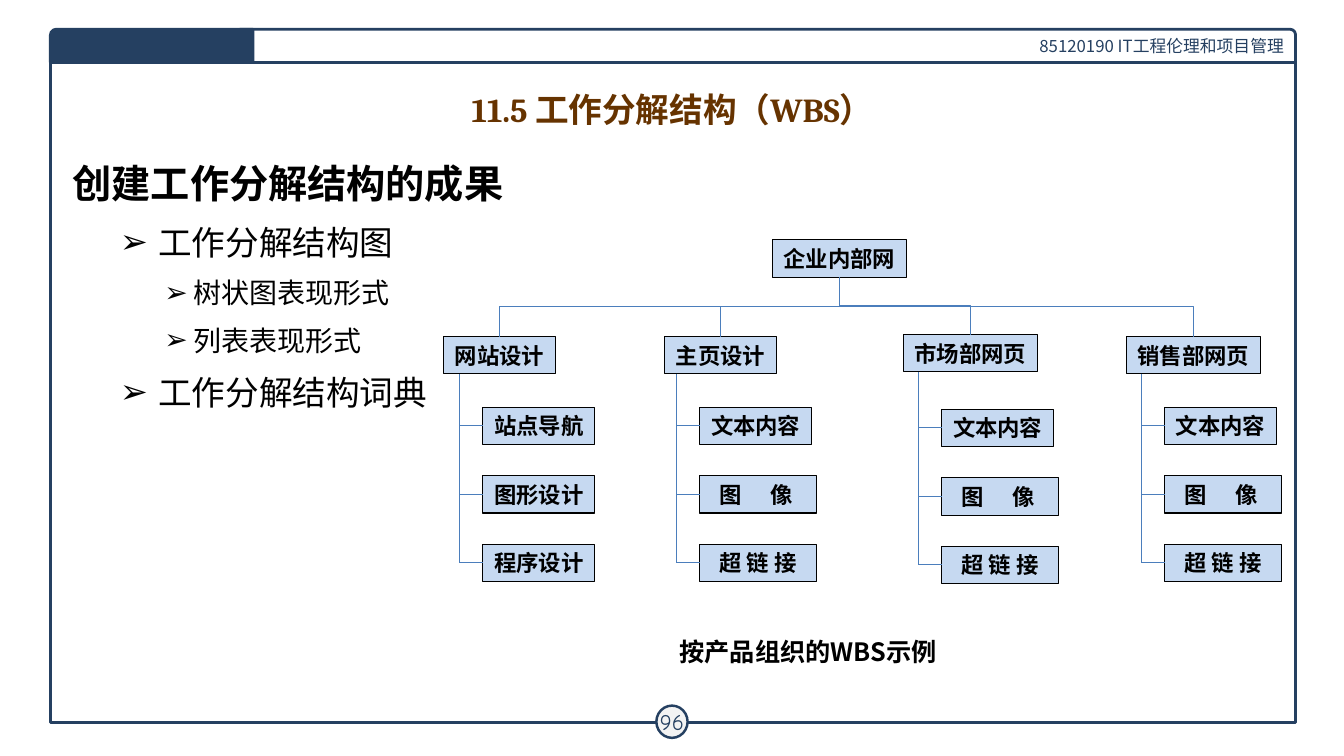
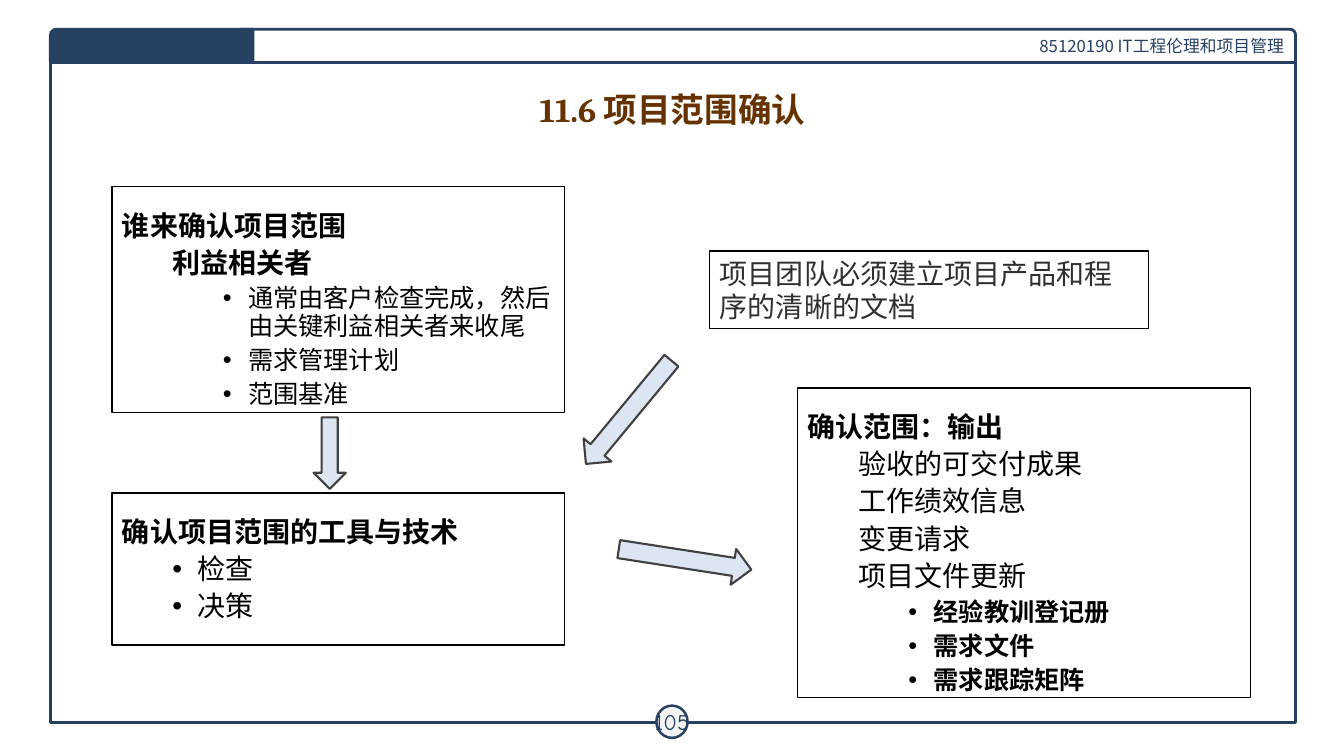
from dataclasses import dataclass

from lxml import etree
from pptx import Presentation
from pptx import util as u
from pptx.dml.color import RGBColor
from pptx.enum import shapes, text
from pptx.oxml import ns

In, Pt = u.Inches, u.Pt
Kind, Wire = shapes.MSO_SHAPE, shapes.MSO_CONNECTOR
Side, Mid, Top = text.PP_ALIGN, text.MSO_ANCHOR.MIDDLE, text.MSO_ANCHOR.TOP


@dataclass(frozen=True)
class Theme:
    navy: str = "254061"
    white: str = "FFFFFF"
    pale: str = "F3F3F3"
    brown: str = "663300"
    black: str = "000000"
    gray: str = "2F2F2F"
    node: str = "C6D9F1"
    wire: str = "4B7EBC"
    arrow: str = "DCE6F2"
    edge: str = "404040"
    sans: str = "Noto Sans CJK SC"
    serif: str = "Times New Roman"
    head: str = "Cambria"
    digit: str = "Comic Neue"
    huge: int = 28
    big: int = 24
    mid: int = 20
    text: int = 18
    small: int = 16
    tiny: int = 12


T = Theme()


def sub(parent, tag, **attrs):
    return etree.SubElement(parent, ns.qn(tag), attrs)


def write(para, words, size=T.mid, font=T.sans, color=T.black, bold=False,
          side=Side.LEFT, line=None, before=0, left=0, hang=0, mark=None, tab=None):
    """Fill one paragraph with formatted text."""
    para.alignment = side
    para.space_before = Pt(before)
    if line:
        para.line_spacing = line
    props = para._p.get_or_add_pPr()
    props.set("marL", str(In(left)))
    props.set("indent", str(In(hang)))
    if mark:
        sub(props, "a:buFont", typeface="Arial")
        sub(props, "a:buChar", char=mark)
    else:
        sub(props, "a:buNone")
    if tab:
        sub(sub(props, "a:tabLst"), "a:tab", pos=str(In(tab)), algn="l")
    run = para.add_run()
    run.text = words
    run.font.size, run.font.bold, run.font.name = Pt(size), bold, font
    run.font.color.rgb = RGBColor.from_string(color)
    sub(run._r.get_or_add_rPr(), "a:ea", typeface=T.sans)


class Deck:
    def __init__(self):
        self.prs = Presentation()
        self.prs.slide_width, self.prs.slide_height = In(13.33), In(7.5)

    def start(self, layout, title, number):
        """Add a slide with its frame, header, number and title."""
        self.slide = self.prs.slides.add_slide(self.prs.slide_layouts[layout])
        self.free = [p for p in self.slide.placeholders if p.placeholder_format.idx]
        self.shape(Kind.RECTANGLE, (0.5, 0.5, 12.35, 6.67), line=T.navy, width=2)
        bar = self.shape(Kind.ROUND_1_RECTANGLE, (2.38, 0.29, 10.47, 0.33),
                         T.white, T.navy, 2)
        self.fill(bar, "85120190 IT工程伦理和项目管理", anchor=Mid, size=T.tiny,
                  color=T.navy, side=Side.RIGHT)
        disc = self.shape(Kind.OVAL, (6.51, 7, 0.31, 0.32), T.pale, T.navy, 1.75)
        self.fill(disc, number, anchor=Mid, wrap=False, inset=0.04, size=T.small,
                  font=T.digit, color=T.navy, side=Side.CENTER)
        tab = self.shape(Kind.ROUND_1_RECTANGLE, (0.5, 0.29, 2.01, 0.33),
                         T.navy, T.navy, 2)
        tab.adjustments[0] = 0.175
        tab._element.spPr.xfrm.set("flipH", "1")
        head = self.place(self.slide.shapes.title, (0.67, 0.84, 12, 0.48))
        self.fill(head, title, anchor=Mid, size=T.big, font=T.head, color=T.brown,
                  bold=True, side=Side.CENTER)

    def place(self, item, box):
        item.left, item.top, item.width, item.height = map(In, box)
        return item

    def paint(self, item, fill=None, line=None, width=0.75):
        if fill:
            item.fill.solid()
            item.fill.fore_color.rgb = RGBColor.from_string(fill)
        else:
            item.fill.background()
        if line:
            item.line.color.rgb = RGBColor.from_string(line)
            item.line.width = Pt(width)

    def shape(self, kind, box, fill=None, line=None, width=0.75, turn=0):
        item = self.slide.shapes.add_shape(kind, *map(In, box))
        item.shadow.inherit = False
        item.rotation = turn
        self.paint(item, fill, line, width)
        return item

    def frame(self, item, anchor=Top, wrap=True, inset=None):
        frame = item.text_frame
        frame.auto_size = text.MSO_AUTO_SIZE.NONE
        frame.word_wrap, frame.vertical_anchor = wrap, anchor
        if inset is not None:
            frame.margin_left = frame.margin_right = In(inset)
            frame.margin_top = frame.margin_bottom = In(inset)
        return frame

    def fill(self, item, words, anchor=Top, wrap=True, inset=None, **style):
        write(self.frame(item, anchor, wrap, inset).paragraphs[0], words, **style)

    def list(self, box, rows, line=None, width=1):
        """Put rows of (text, style) in the next body placeholder."""
        item = self.place(self.free.pop(0), box)
        self.paint(item, None, line, width)
        frame = self.frame(item)
        for i, (words, style) in enumerate(rows):
            para = frame.add_paragraph() if i else frame.paragraphs[0]
            write(para, words, **{**style, "before": style.get("before", 0) if i else 0})

    def label(self, box, words, **style):
        self.fill(self.slide.shapes.add_textbox(*map(In, box)), words, **style)

    def node(self, x, y, words):
        """Add one box of the tree; its width follows its text."""
        wide = 1.16 if set(words) & {" ", "\t"} else 0.23 + 0.22 * len(words)
        item = self.shape(Kind.RECTANGLE, (x, y, wide, 0.37), T.node, T.black)
        split = "\t" in words
        self.fill(item, words, anchor=Mid, inset=0.05, size=T.small, font=T.serif,
                  bold=True, side=Side.LEFT if split else Side.CENTER,
                  left=0.15 if split else 0, tab=0.68 if split else None)
        return item

    def wire(self, kind, start, end):
        item = self.slide.shapes.add_connector(kind, *start, *end)
        item.line.color.rgb = RGBColor.from_string(T.wire)
        item.line.width = Pt(0.75)
        sub(item._element.spPr, "a:effectLst")
        return item

    def elbow(self, high, low):
        """Join the bottom of one node to the top of another, leaving downward."""
        x1, y1 = high.left + high.width // 2, high.top + high.height
        x2, y2 = low.left + low.width // 2, low.top
        item = self.wire(Wire.ELBOW, (x1, y1), (x2, y2))
        item.begin_connect(high, 2)
        item.end_connect(low, 0)
        wide, tall = abs(x2 - x1), y2 - y1
        item.left, item.top = (x1 + x2 - tall) // 2, (y1 + y2 - wide) // 2
        item.width, item.height = tall, wide
        form = item._element.spPr.xfrm
        form.set("rot", str((270 if x2 > x1 else 90) * 60000))
        form.set("flipH", "1" if x2 > x1 else "0")
        form.set("flipV", "0")

    def branch(self, root, x, y, words, kid, top, names):
        """Add a head node and the nodes that hang on its stem."""
        head = self.node(x, y, words)
        self.elbow(root, head)
        stem = In(kid - 0.23)
        for i, name in enumerate(names):
            item = self.node(kid, top + 0.68 * i, name)
            mid = item.top + item.height // 2
            self.wire(Wire.STRAIGHT, (stem, mid), (item.left, mid)).end_connect(item, 1)
        self.wire(Wire.STRAIGHT, (stem, head.top + head.height), (stem, mid))


def tree(deck):
    deck.start(1, "11.5 工作分解结构（WBS）", "96")
    # Outline
    base = dict(line=1.2, before=5)
    one = dict(base, size=T.big, left=0.85, hang=-0.38, mark="➢")
    two = dict(base, size=T.mid, left=1.2, hang=-0.29, mark="➢")
    deck.list((0.62, 1.44, 12.07, 2.86), [
        ("创建工作分解结构的成果", dict(base, size=T.huge, bold=True)),
        ("工作分解结构图", one),
        ("树状图表现形式", two),
        ("列表表现形式", two),
        ("工作分解结构词典", one),
    ])
    deck.label((6.64, 6.26, 2.75, 0.4), "按产品组织的WBS示例", size=T.text, bold=True)
    # Breakdown tree
    root = deck.node(7.66, 2.38, "企业内部网")
    page = ["文本内容", "图\t像", "超 链 接"]
    site = ["站点导航", "图形设计", "程序设计"]
    for row in [(4.4, 3.34, "网站设计", 4.79, 4.04, site),
                (6.59, 3.34, "主页设计", 6.94, 4.04, page),
                (8.96, 3.32, "市场部网页", 9.34, 4.06, page),
                (11.17, 3.34, "销售部网页", 11.55, 4.04, page)]:
        deck.branch(root, *row)


def scope(deck):
    deck.start(4, "11.6 项目范围确认", "105")
    # Framed lists
    head = dict(line=Pt(36), bold=True)
    base = dict(line=0.9, before=5)
    plain = dict(base, left=0.5)
    dot = dict(base, left=0.75, hang=-0.25, mark="•")
    deep = dict(dot, left=1.25, size=T.text)
    strong = dict(deep, bold=True)
    deck.list((1.11, 1.85, 4.49, 2.24), [
        ("谁来确认项目范围", head),
        ("利益相关者", dict(plain, bold=True)),
        ("通常由客户检查完成，然后由关键利益相关者来收尾", deep),
        ("需求管理计划", deep),
        ("范围基准", deep),
    ], T.black)
    deck.list((7.04, 2.49, 4.35, 0.77), [
        ("项目团队必须建立项目产品和程序的清晰的文档", dict(color=T.gray)),
    ], T.black, 0.75)
    deck.list((1.11, 4.89, 4.49, 1.51), [
        ("确认项目范围的工具与技术", head), ("检查", dot), ("决策", dot),
    ], T.black)
    deck.list((7.91, 3.85, 4.49, 3.07), [
        ("确认范围：输出", head),
        ("验收的可交付成果", plain),
        ("工作绩效信息", plain),
        ("变更请求", plain),
        ("项目文件更新", plain),
        ("经验教训登记册", strong),
        ("需求文件", strong),
        ("需求跟踪矩阵", strong),
    ], T.black)
    # Flow arrows
    for kind, box, turn in [(Kind.RIGHT_ARROW, (5.57, 3.91, 1.33, 0.36), 129.6),
                            (Kind.DOWN_ARROW, (3.11, 4.14, 0.32, 0.71), 0),
                            (Kind.RIGHT_ARROW, (6.13, 5.37, 1.33, 0.36), 8.8)]:
        deck.shape(kind, box, T.arrow, T.edge, 1.5, turn)


def main():
    deck = Deck()
    tree(deck)
    scope(deck)
    deck.prs.save("out.pptx")


if __name__ == "__main__":
    main()
